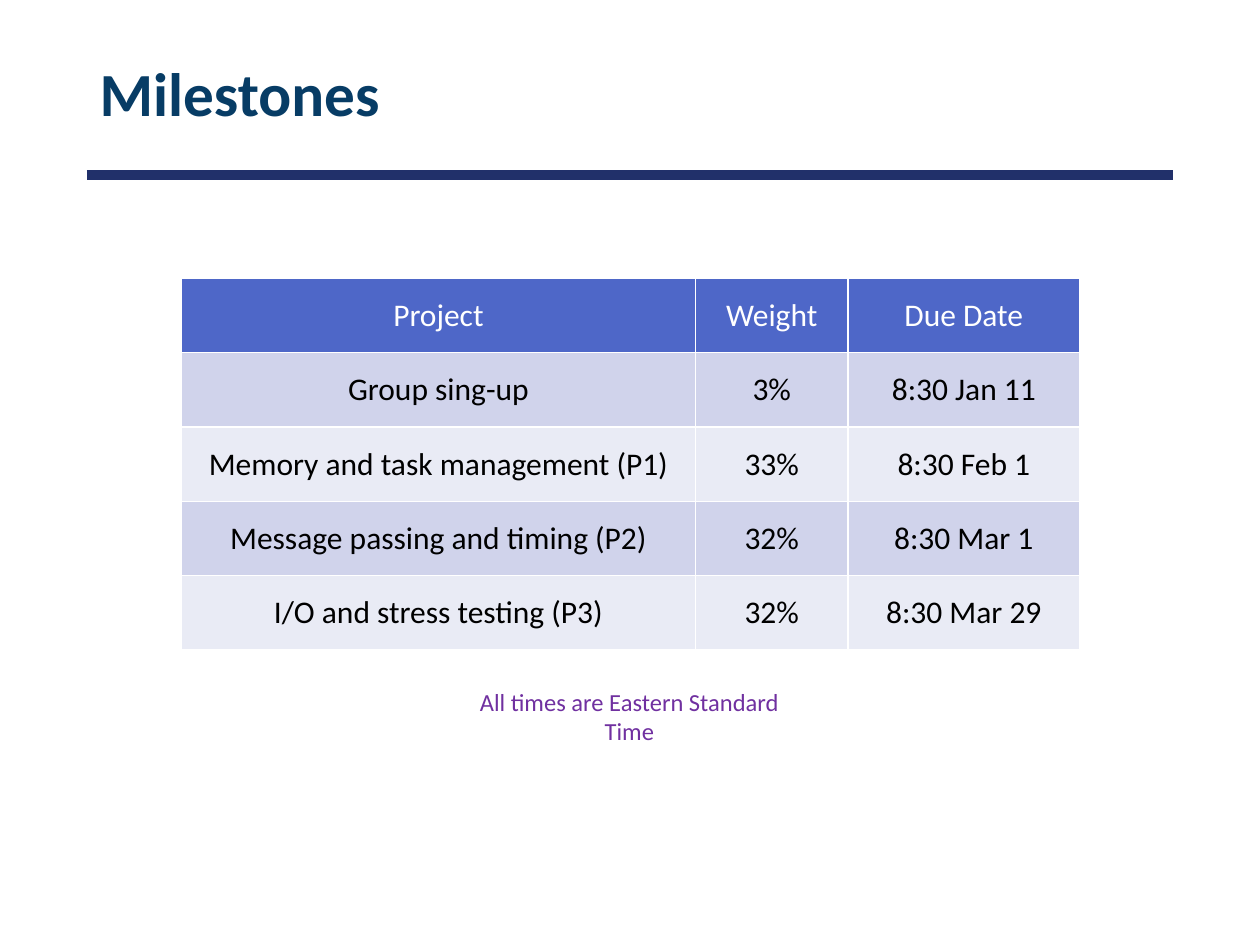
from lxml import etree
from pptx import Presentation
from pptx.dml.color import RGBColor
from pptx.enum import shapes, text
from pptx.oxml.ns import qn
from pptx.util import Inches, Pt

TITLE = "Milestones"
NOTE = "All times are Eastern Standard Time"
ROWS = [
    ("Project", "Weight", "Due Date"),
    ("Group sing-up", "3%", "8:30 Jan 11"),
    ("Memory and task management (P1)", "33%", "8:30 Feb 1"),
    ("Message passing and timing (P2)", "32%", "8:30 Mar 1"),
    ("I/O and stress testing (P3)", "32%", "8:30 Mar 29"),
]
COL_WIDTHS = (4.08, 1.21, 1.84)
ROW_HEIGHT = 0.59
COLORS = {
    "title": "073C65", "rule": "21306A", "note": "7030A0",
    "header": "4E67C8", "odd": "D0D3EB", "even": "E9EBF5",
    "white": "FFFFFF", "black": "000000",
}
CENTER = text.PP_ALIGN.CENTER


def color(name):
    return RGBColor.from_string(COLORS[name])


def write(tf, words, size, ink, bold=False, align=None, spacing=None):
    p = tf.paragraphs[0]
    p.alignment = align
    p.line_spacing = spacing
    r = p.add_run()
    r.text = words
    r.font.name = "Calibri"
    r.font.size = Pt(size)
    r.font.bold = bold
    r.font.color.rgb = color(ink)


def add_rule(s, left, right, y):
    rule = s.shapes.add_connector(
        shapes.MSO_CONNECTOR.STRAIGHT,
        Inches(left), Inches(y), Inches(right), Inches(y))
    rule.line.color.rgb = color("rule")
    rule.line.width = Pt(6)
    etree.SubElement(rule._element.spPr, qn("a:effectLst"))


def add_title(s):
    title = s.shapes.title
    title.left, title.top = Inches(0.69), Inches(0.23)
    title.width, title.height = Inches(8.62), Inches(1.08)
    title.text_frame.vertical_anchor = text.MSO_ANCHOR.MIDDLE
    write(title.text_frame, TITLE, 35, "title", bold=True,
          align=text.PP_ALIGN.LEFT, spacing=0.9)


def add_milestones(s, left, top):
    """Add the table; its default style supplies the white cell borders."""
    table = s.shapes.add_table(
        len(ROWS), len(COL_WIDTHS), Inches(left), Inches(top),
        Inches(sum(COL_WIDTHS)), Inches(ROW_HEIGHT * len(ROWS))).table
    for column, width in zip(table.columns, COL_WIDTHS):
        column.width = Inches(width)
    for i, row in enumerate(ROWS):
        fill = "header" if i == 0 else "odd" if i % 2 else "even"
        for j, words in enumerate(row):
            cell = table.cell(i, j)
            cell.fill.solid()
            cell.fill.fore_color.rgb = color(fill)
            cell.vertical_anchor = text.MSO_ANCHOR.MIDDLE
            cell.margin_left = cell.margin_right = Inches(0.07)
            cell.margin_top = cell.margin_bottom = Inches(0.04)
            write(cell.text_frame, words, 18,
                  "black" if i else "white", align=CENTER)


def add_note(s):
    tf = s.shapes.add_textbox(
        Inches(3.52), Inches(5.4), Inches(2.95), Inches(0.34)).text_frame
    tf.word_wrap = True
    write(tf, NOTE, 14, "note", align=CENTER)


def main():
    prs = Presentation()
    prs.slide_width, prs.slide_height = Inches(10), Inches(7.5)
    s = prs.slides.add_slide(prs.slide_layouts[5])
    add_rule(s, 0.69, 9.31, 1.39)
    add_title(s)
    add_note(s)
    add_milestones(s, 1.44, 2.21)
    prs.save("out.pptx")


if __name__ == "__main__":
    main()
